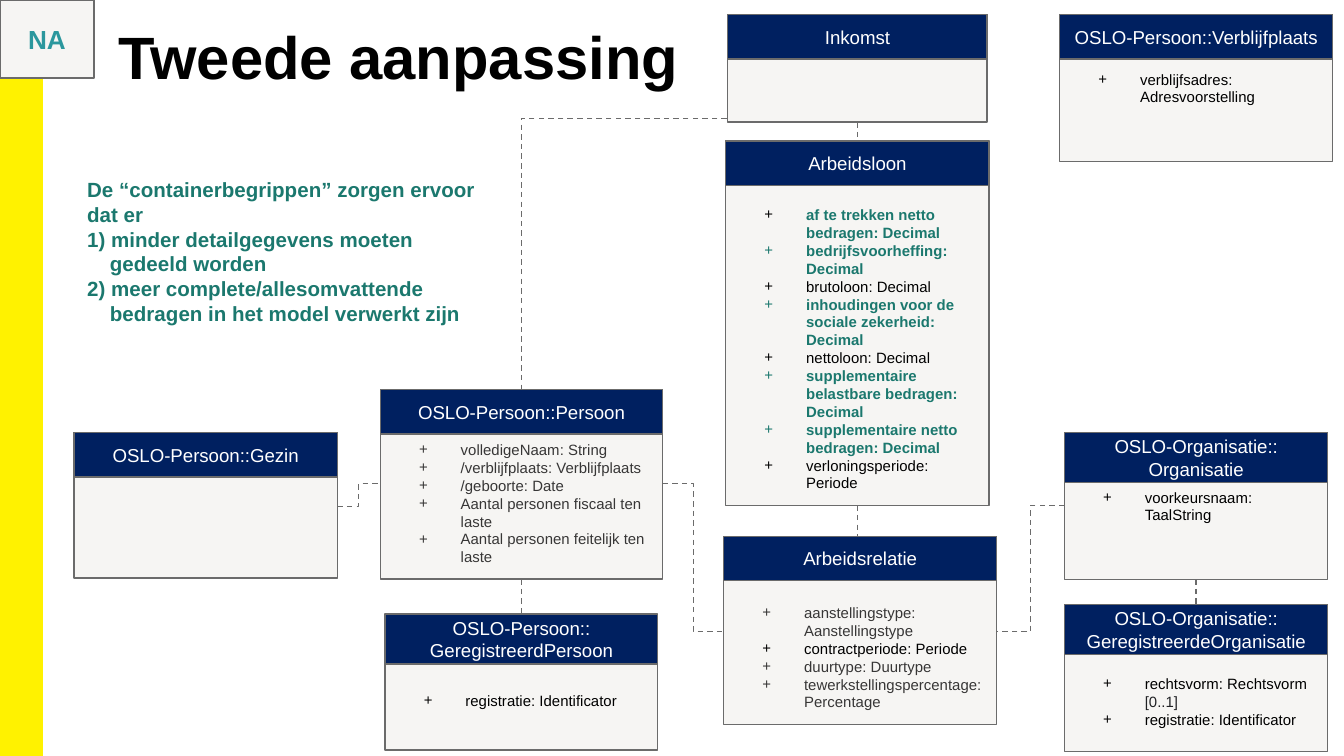
from dataclasses import dataclass
from lxml.etree import SubElement
from pptx import Presentation
from pptx.dml.color import RGBColor as Rgb
from pptx.enum.dml import MSO_LINE as Dash
from pptx.enum.shapes import MSO_CONNECTOR as Link, MSO_SHAPE as Form
from pptx.enum.text import MSO_ANCHOR as Anchor, PP_ALIGN as Align
from pptx.oxml.ns import qn
from pptx.util import Inches, Pt


@dataclass(frozen=True)
class Theme:
    font: str = "Arial"
    navy: str = "002060"
    paper: str = "F6F5F3"
    edge: str = "6B6B6B"
    bar: str = "FFF200"
    white: str = "FFFFFF"
    black: str = "000000"
    grey: str = "373636"
    dark: str = "202124"
    green: str = "1B786E"
    teal: str = "2B979D"
    title: int = 32
    badge: int = 14
    note: int = 11
    head: int = 10
    item: int = 8


T = Theme()
WIDE = 10
HIGH = WIDE * 9 / 16
PAD = 0.1

# Content
TITLE, BADGE = "Tweede aanpassing", "NA"
NOTES = [
    ["De “containerbegrippen” zorgen ervoor dat er"],
    ["1) minder detailgegevens moeten", "gedeeld worden"],
    ["2) meer complete/allesomvattende", "bedragen in het model verwerkt zijn"],
]


def plain(text, color=T.black):
    return [(text, color, False)], color


def strong(text, mark=T.green):
    return [(text, T.green, True)], mark


def soft(text):
    return plain(text, T.grey)


# Column centres
HOME, SELF, PAY, WORK, FIRM = 1.53, 3.88, 6.38, 6.4, 8.9

# Classes: name lines, centre, top, width, height, anchor, extra (top, bottom) inset, items
TOP, MID, LOW = Anchor.TOP, Anchor.MIDDLE, Anchor.BOTTOM
NONE = (0, 0)
CLASSES = [
    (["OSLO-Persoon::Gezin"], HOME, 3.22, 1.96, 1.08, MID, NONE, []),
    (["OSLO-Persoon::Persoon"], SELF, 2.9, 2.1, 1.41, LOW, NONE, [
        soft("volledigeNaam: String"),
        soft("/verblijfplaats: Verblijfplaats"),
        soft("/geboorte: Date"),
        soft("Aantal personen fiscaal ten laste"),
        soft("Aantal personen feitelijk ten laste")]),
    (["OSLO-Persoon::", "GeregistreerdPersoon"], SELF, 4.57, 2.03, 1.01, MID, (0.27, 0), [
        plain("registratie: Identificator")]),
    (["Inkomst"], PAY, 0.11, 1.93, 0.8, MID, NONE, []),
    (["Arbeidsloon"], PAY, 1.05, 1.96, 2.71, LOW, NONE, [
        strong("af te trekken netto bedragen: Decimal", T.black),
        strong("bedrijfsvoorheffing: Decimal"),
        plain("brutoloon: Decimal"),
        strong("inhoudingen voor de sociale zekerheid: Decimal"),
        plain("nettoloon: Decimal"),
        strong("supplementaire belastbare bedragen: Decimal"),
        strong("supplementaire netto bedragen: Decimal"),
        plain("verloningsperiode: Periode")]),
    (["Arbeidsrelatie"], WORK, 3.99, 2.03, 1.4, LOW, NONE, [
        soft("aanstellingstype: Aanstellingstype"),
        plain("contractperiode: Periode"),
        soft("duurtype: Duurtype"),
        soft("tewerkstellingspercentage: Percentage")]),
    (["OSLO-Persoon::Verblijfplaats"], FIRM, 0.11, 2.03, 1.09, MID, NONE, [
        plain("verblijfsadres: Adresvoorstelling")]),
    (["OSLO-Organisatie::", "Organisatie"], FIRM, 3.22, 1.96, 1.09, MID, NONE, [
        plain("voorkeursnaam: TaalString")]),
    (["OSLO-Organisatie::", "GeregistreerdeOrganisatie"], FIRM, 4.5, 1.96, 1.09, LOW, (0, 0.07), [
        ([("rechtsvorm: Rechtsvorm ", T.black, False), ("[0..1]", T.dark, False)], T.black),
        plain("registratie: Identificator")]),
]

# Links: kind, from, to
LINKS = [
    ("step", (2.51, 3.77), (2.83, 3.6)),
    ("step", (4.93, 3.6), (5.39, 4.7)),
    ("step", (7.92, 3.76), (7.42, 4.7)),
    ("corner", (5.41, 0.88), (SELF, 2.9)),
    ("straight", (PAY, 0.91), (PAY, 1.05)),
    ("straight", (PAY, 3.76), (PAY, 3.99)),
    ("straight", (SELF, 4.31), (SELF, 4.57)),
    ("straight", (FIRM, 4.31), (FIRM, 4.5)),
]

deck = Presentation()
deck.slide_width, deck.slide_height = Inches(WIDE), Inches(HIGH)
slide = deck.slides.add_slide(deck.slide_layouts[6])
shapes = slide.shapes


def frame(shape, anchor, pads):
    """Set wrap, anchor and (left, top, right, bottom) insets."""
    text = shape.text_frame
    text.word_wrap, text.vertical_anchor = True, anchor
    text.margin_left, text.margin_top, text.margin_right, text.margin_bottom = map(Inches, pads)
    return text


def rect(x, y, w, h, fill, edge=T.edge, line=0.75):
    box = shapes.add_shape(Form.RECTANGLE, *map(Inches, (x, y, w, h)))
    box.shadow.inherit = False
    box.fill.solid()
    box.fill.fore_color.rgb = Rgb.from_string(fill)
    box.line.color.rgb = Rgb.from_string(edge)
    box.line.width = Pt(line)
    return box


def para(text, index, align=Align.LEFT):
    p = text.add_paragraph() if index else text.paragraphs[0]
    p.alignment = align
    return p


def write(p, words, size, color, bold=False):
    run = p.add_run()
    run.text = words
    font = run.font
    font.name, font.size, font.bold = T.font, Pt(size), bold
    font.color.rgb = Rgb.from_string(color)


def indent(p, left, first):
    props = p._p.get_or_add_pPr()
    props.set("marL", str(Inches(left)))
    props.set("indent", str(Inches(first)))
    return props


def bullet(p, color):
    props = indent(p, 0.5, -0.31)
    tint = SubElement(props, qn("a:buClr"))
    SubElement(tint, qn("a:srgbClr"), val=color)
    SubElement(props, qn("a:buFont"), typeface=T.font)
    SubElement(props, qn("a:buChar"), char="+")


def link(kind, start, end):
    form = Link.STRAIGHT if kind == "straight" else Link.ELBOW
    wire = shapes.add_connector(form, *map(Inches, start + end))
    wire.line.color.rgb = Rgb.from_string(T.edge)
    wire.line.width, wire.line.dash_style = Pt(0.75), Dash.DASH
    props = wire._element.spPr
    SubElement(props, qn("a:effectLst"))
    if kind == "corner":
        props.find(qn("a:prstGeom")).set("prst", "bentConnector2")


def card(names, mid, y, w, h, anchor, extra, items):
    x = mid - w / 2
    body = frame(rect(x, y, w, h, T.paper), anchor,
                 (PAD, PAD + extra[0], PAD, PAD + extra[1]))
    for i, (runs, mark) in enumerate(items):
        p = para(body, i)
        bullet(p, mark)
        for words, color, bold in runs:
            write(p, words, T.item, color, bold)
    tall = 0.37 if len(names) > 1 else 0.33
    head = frame(rect(x, y, w, tall, T.navy), MID, [PAD] * 4)
    for i, name in enumerate(names):
        write(para(head, i, Align.CENTER), name, T.head, T.white)


# Side bar and badge
rect(0, 0, 0.31, HIGH, T.bar, T.bar, 1)
badge = frame(rect(0, 0, 0.7, 0.58, T.paper), MID, [PAD] * 4)
write(para(badge, 0, Align.CENTER), BADGE, T.badge, T.teal, True)

# Title
box = shapes.add_textbox(*map(Inches, (0.81, 0.11, 4.48, 0.68)))
write(para(frame(box, TOP, (0.07, 0.04, 0.07, 0.04)), 0), TITLE, T.title, T.black, True)

# Remark
box = shapes.add_textbox(*map(Inches, (0.55, 1.22, 3.23, 1.31)))
remark = frame(box, TOP, [PAD] * 4)
for i, lines in enumerate(NOTES):
    p = para(remark, i)
    if len(lines) > 1:
        indent(p, 0.17, -0.17)
    for j, words in enumerate(lines):
        if j:
            p.add_line_break()
        write(p, words, T.note, T.green, True)

# Diagram
for wire in LINKS:
    link(*wire)
for item in CLASSES:
    card(*item)

deck.save("out.pptx")
